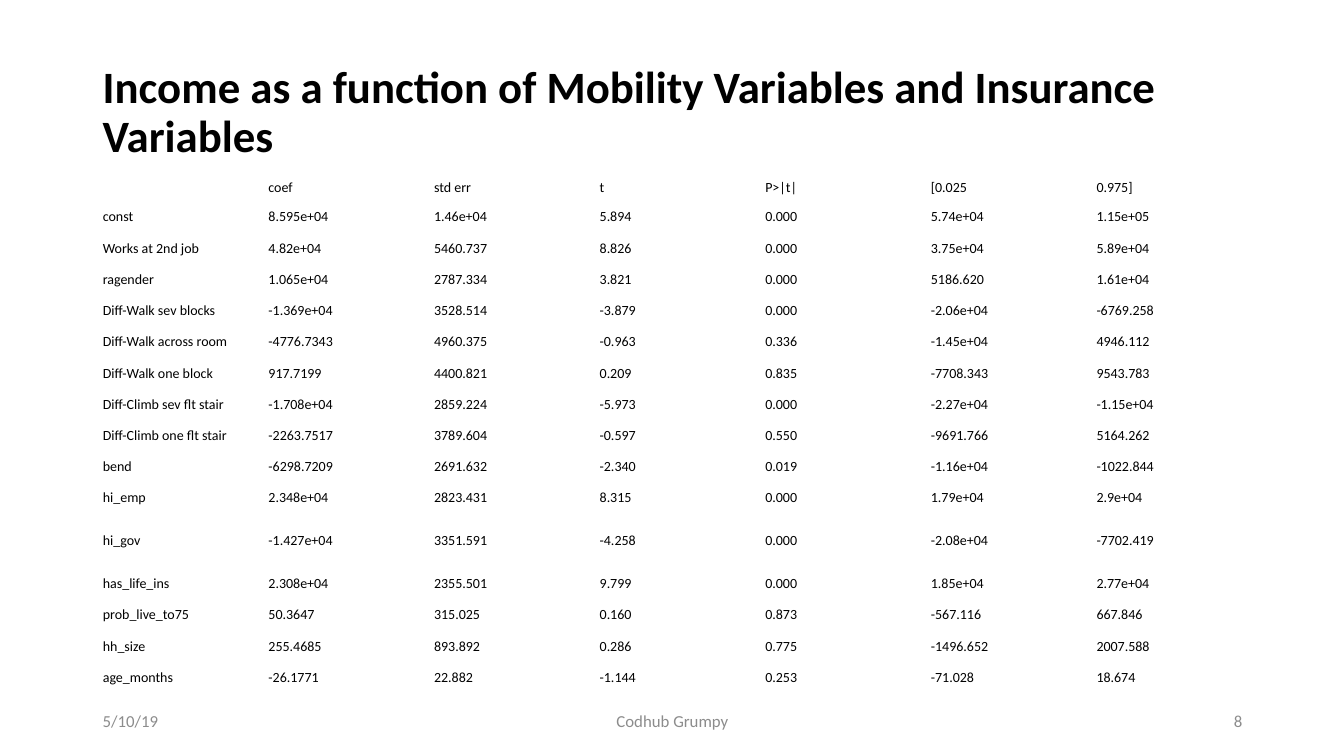
from dataclasses import dataclass
from typing import Any

from lxml import etree
from pptx import Presentation
from pptx.dml.color import RGBColor
from pptx.enum.text import MSO_ANCHOR, PP_ALIGN
from pptx.oxml.ns import qn
from pptx.util import Inches, Pt

LEFT, CENTER, RIGHT = PP_ALIGN.LEFT, PP_ALIGN.CENTER, PP_ALIGN.RIGHT
MIDDLE = MSO_ANCHOR.MIDDLE

COLORS = {"ink": "000000", "gray": "8C8C8C"}
FORMATS = {
    "title": {"size": Pt(32), "bold": True, "name": "Calibri"},
    "cell": {"size": Pt(10), "bold": False, "name": "Calibri"},
    "footer": {"size": Pt(12), "bold": False, "name": "Calibri"},
}

HEAD = ("", "coef", "std err", "t", "P>|t|", "[0.025", "0.975]")
ROWS = (
    ("const", "8.595e+04", "1.46e+04", "5.894", "0.000", "5.74e+04", "1.15e+05"),
    ("Works at 2nd job", "4.82e+04", "5460.737", "8.826", "0.000", "3.75e+04", "5.89e+04"),
    ("ragender", "1.065e+04", "2787.334", "3.821", "0.000", "5186.620", "1.61e+04"),
    ("Diff-Walk sev blocks", "-1.369e+04", "3528.514", "-3.879", "0.000", "-2.06e+04", "-6769.258"),
    ("Diff-Walk across room", "-4776.7343", "4960.375", "-0.963", "0.336", "-1.45e+04", "4946.112"),
    ("Diff-Walk one block", "917.7199", "4400.821", "0.209", "0.835", "-7708.343", "9543.783"),
    ("Diff-Climb sev flt stair", "-1.708e+04", "2859.224", "-5.973", "0.000", "-2.27e+04", "-1.15e+04"),
    ("Diff-Climb one flt stair", "-2263.7517", "3789.604", "-0.597", "0.550", "-9691.766", "5164.262"),
    ("bend", "-6298.7209", "2691.632", "-2.340", "0.019", "-1.16e+04", "-1022.844"),
    ("hi_emp", "2.348e+04", "2823.431", "8.315", "0.000", "1.79e+04", "2.9e+04"),
    ("hi_gov", "-1.427e+04", "3351.591", "-4.258", "0.000", "-2.08e+04", "-7702.419"),
    ("has_life_ins", "2.308e+04", "2355.501", "9.799", "0.000", "1.85e+04", "2.77e+04"),
    ("prob_live_to75", "50.3647", "315.025", "0.160", "0.873", "-567.116", "667.846"),
    ("hh_size", "255.4685", "893.892", "0.286", "0.775", "-1496.652", "2007.588"),
    ("age_months", "-26.1771", "22.882", "-1.144", "0.253", "-71.028", "18.674"),
)
HEIGHTS = {"": 0.22, "hi_gov": 0.54}
USUAL = 0.31


@dataclass
class Label:
    """A text box: its words, place in inches and look."""

    text: str
    left: float
    top: float
    width: float
    height: float
    style: str
    color: str
    align: Any = LEFT
    pitch: float = 1.0


LABELS = (
    Label("Income as a function of Mobility Variables and Insurance Variables",
          0.92, 0.4, 11.78, 1.45, "title", "ink", pitch=0.9),
    Label("5/10/19", 0.92, 6.95, 3, 0.4, "footer", "gray"),
    Label("Codhub Grumpy", 4.42, 6.95, 4.5, 0.4, "footer", "gray", CENTER),
    Label("8", 9.42, 6.95, 3, 0.4, "footer", "gray", RIGHT),
)


def write(para: Any, text: str, style: str, color: str) -> None:
    """Put one formatted run into a paragraph."""
    run = para.add_run()
    run.text = text
    for key, value in FORMATS[style].items():
        setattr(run.font, key, value)
    run.font.color.rgb = RGBColor.from_string(COLORS[color])


def draw_label(slide: Any, label: Label) -> None:
    """Draw one text box."""
    box = slide.shapes.add_textbox(Inches(label.left), Inches(label.top),
                                   Inches(label.width), Inches(label.height))
    frame = box.text_frame
    frame.word_wrap = True
    frame.vertical_anchor = MIDDLE
    para = frame.paragraphs[0]
    para.alignment = label.align
    para.line_spacing = label.pitch
    write(para, label.text, label.style, label.color)


def fill_cell(cell: Any, text: str) -> None:
    """Write one clear table cell; an empty one keeps the small text size."""
    cell.fill.background()
    cell.vertical_anchor = MIDDLE
    para = cell.text_frame.paragraphs[0]
    if text:
        write(para, text, "cell", "ink")
    else:
        size = FORMATS["cell"]["size"].centipoints
        etree.SubElement(para._p, qn("a:endParaRPr"), sz=str(size))


def draw_table(slide: Any) -> None:
    """Draw the table of regression results."""
    data = (HEAD, *ROWS)
    table = slide.shapes.add_table(len(data), len(HEAD), Inches(0.92), Inches(1.73),
                                   Inches(11.5), Inches(5.11)).table
    table.first_row = False
    table.horz_banding = False
    for row, texts in zip(table.rows, data):
        row.height = Inches(HEIGHTS.get(texts[0], USUAL))
        for cell, text in zip(row.cells, texts):
            fill_cell(cell, text)


def main() -> None:
    """Build and save the slide."""
    deck = Presentation()
    deck.slide_width, deck.slide_height = Inches(13.33), Inches(7.5)
    slide = deck.slides.add_slide(deck.slide_layouts[6])
    draw_table(slide)
    for label in LABELS:
        draw_label(slide, label)
    deck.save("out.pptx")


main()
